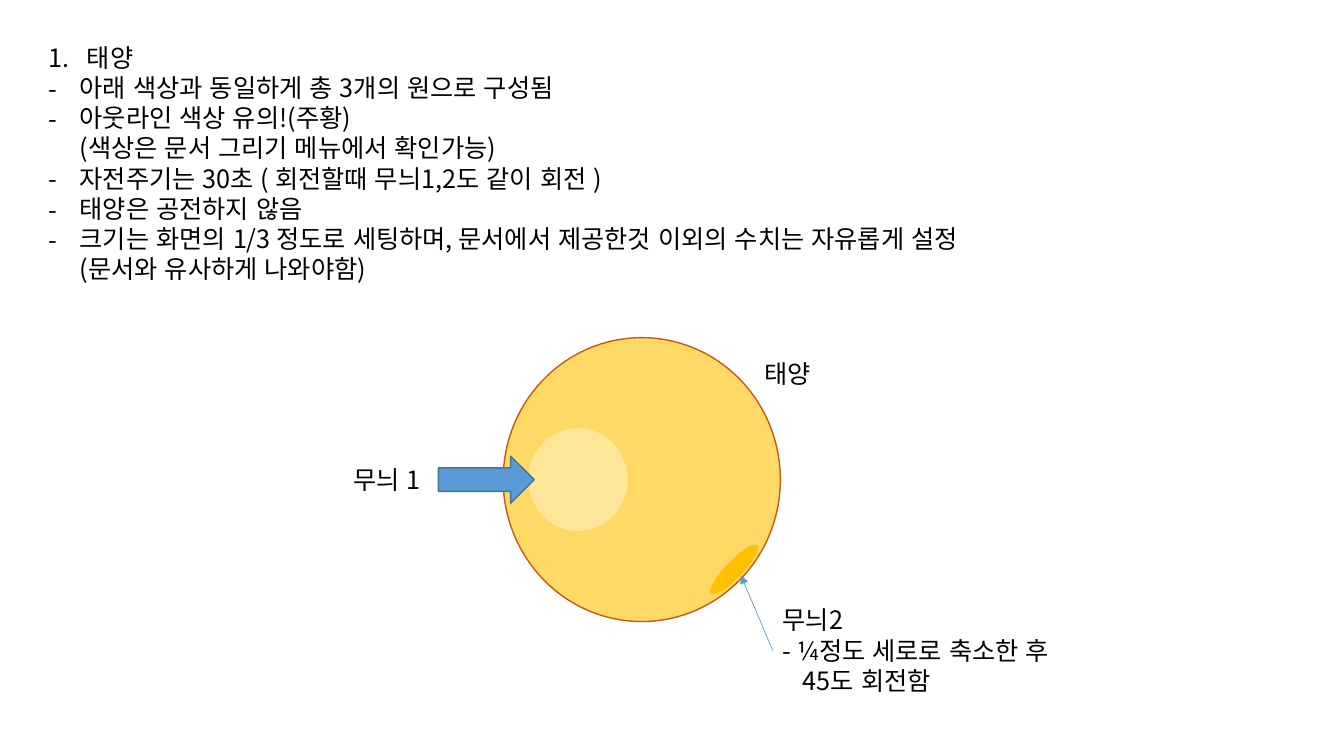
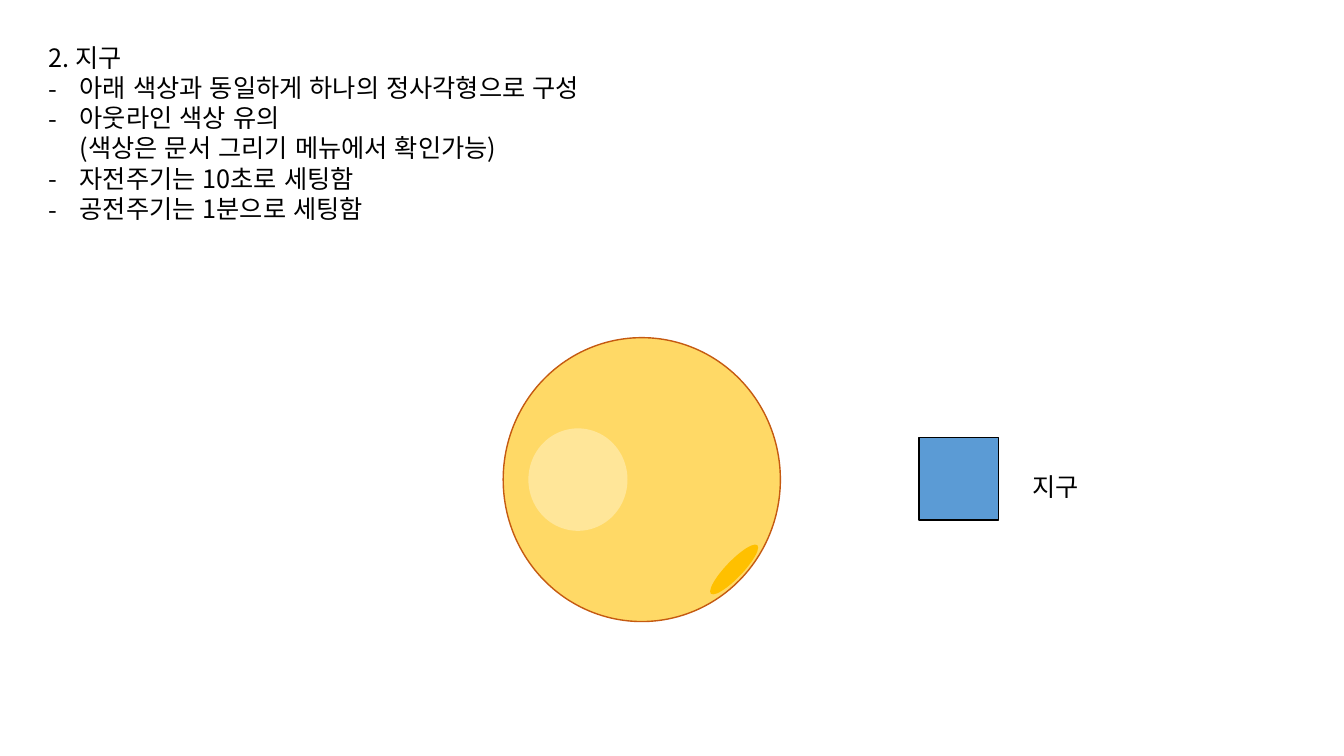
from dataclasses import dataclass

from lxml import etree
from pptx import Presentation
from pptx.dml.color import RGBColor
from pptx.enum import lang, shapes, text
from pptx.oxml import ns
from pptx.util import Inches, Pt


@dataclass(frozen=True)
class Theme:
    """Colours, type and line sizes shared by all slides."""
    font: str = "Noto Sans CJK KR"
    size: float = 18
    ink: str = "000000"
    sun: str = "FFD966"
    sun_edge: str = "C55A11"
    pale_spot: str = "FFE699"
    dark_spot: str = "FFC000"
    blue: str = "5B9BD5"
    blue_edge: str = "43739E"
    outline: float = 1
    thin: float = 0.5


COLUMNS, ROWS = 160, 90
DASH, NUMBER = "dash", "number"
INDENTS = {DASH: 0.31, NUMBER: 0.38}


def child(parent, tag, **attributes):
    return etree.SubElement(parent, ns.qn(tag), attributes)


class Sketch:
    """Draws on the current slide; lengths are grid columns and rows."""

    def __init__(self, theme):
        self.theme = theme
        self.deck = Presentation()
        self.deck.slide_width = Inches(13.33)
        self.deck.slide_height = Inches(7.5)
        self.page = None

    def new_page(self):
        self.page = self.deck.slides.add_slide(self.deck.slide_layouts[6])

    def across(self, columns):
        return round(self.deck.slide_width * columns / COLUMNS)

    def down(self, rows):
        return round(self.deck.slide_height * rows / ROWS)

    def frame(self, left, top, width, height):
        return (self.across(left), self.down(top),
                self.across(width), self.down(height))

    def shape(self, kind, area, fill, edge=None, turn=0):
        item = self.page.shapes.add_shape(kind, *self.frame(*area))
        item.shadow.inherit = False
        item.rotation = turn
        item.fill.solid()
        item.fill.fore_color.rgb = RGBColor.from_string(fill)
        if edge:
            item.line.color.rgb = RGBColor.from_string(edge)
            item.line.width = Pt(self.theme.outline)
        else:
            item.line.fill.background()
        return item

    def span(self, para, words):
        span = para.add_run()
        span.text = words
        span.font.language_id = lang.MSO_LANGUAGE_ID.KOREAN
        span.font.size = Pt(self.theme.size)
        span.font.color.rgb = RGBColor.from_string(self.theme.ink)
        span.font.name = self.theme.font
        child(span.font._element, "a:ea", typeface=self.theme.font)

    def indent(self, para, left, mark=None):
        settings = para._p.get_or_add_pPr()
        settings.set("marL", str(Inches(left)))
        if mark:
            settings.set("indent", str(-Inches(left)))
            child(settings, "a:buFont", typeface=self.theme.font)
        if mark == DASH:
            child(settings, "a:buChar", char="-")
        elif mark == NUMBER:
            child(settings, "a:buAutoNum", type="arabicPeriod")

    def text(self, area, *entries):
        """Each entry is a pair: its mark or left indent, and its lines."""
        box = self.page.shapes.add_textbox(*self.frame(*area))
        body = box.text_frame
        body.word_wrap = False
        body.auto_size = text.MSO_AUTO_SIZE.SHAPE_TO_FIT_TEXT
        for index, (mark, words) in enumerate(entries):
            para = body.add_paragraph() if index else body.paragraphs[0]
            if mark in INDENTS:
                self.indent(para, INDENTS[mark], mark)
            elif mark:
                self.indent(para, mark)
            for number, line in enumerate(words.split("\n")):
                if number:
                    para.add_line_break()
                self.span(para, line)
        return box

    def pointer(self, box, side, column, row):
        """Thin arrow from the middle of a box's side to a grid point."""
        end = self.across(column), self.down(row)
        arrow = self.page.shapes.add_connector(
            shapes.MSO_CONNECTOR.STRAIGHT, *end, *end)
        arrow.begin_connect(box, side)
        arrow.line.color.rgb = RGBColor.from_string(self.theme.blue)
        arrow.line.width = Pt(self.theme.thin)
        child(arrow.line._get_or_add_ln(), "a:tailEnd", type="triangle")
        child(arrow._element.spPr, "a:effectLst")

    def sun(self):
        oval = shapes.MSO_SHAPE.OVAL
        self.shape(oval, (59.9, 40.2, 33, 33.8),
                   self.theme.sun, self.theme.sun_edge)
        self.shape(oval, (62.9, 51, 11.8, 12.2), self.theme.pale_spot)
        self.shape(oval, (83.4, 66.8, 8, 2), self.theme.dark_spot, turn=313.8)


def sun_page(sketch):
    sketch.new_page()
    sketch.sun()

    # Requirements
    sketch.text(
        (4.6, 4.4, 121.1, 30.2),
        (NUMBER, "태양"),
        (DASH, "아래 색상과 동일하게 총 3개의 원으로 구성됨"),
        (DASH, "아웃라인 색상 유의!(주황)\n(색상은 문서 그리기 메뉴에서 확인가능)"),
        (DASH, "자전주기는 30초 ( 회전할때 무늬1,2도 같이 회전 )"),
        (DASH, "태양은 공전하지 않음"),
        (DASH, "크기는 화면의 1/3 정도로 세팅하며, 문서에서 제공한것 이외의 "
               "수치는 자유롭게 설정\n(문서와 유사하게 나와야함)"))

    # Labels and arrows
    note = sketch.text(
        (92, 71.4, 39.1, 12.1),
        (None, "무늬2"),
        (None, "- ¼정도 세로로 축소한 후"),
        (0.2, "45도 회전함"))
    sketch.pointer(note, 1, 88.2, 68.5)
    sketch.text((89.8, 42.1, 8.5, 4.8), (None, "태양"))
    sketch.shape(shapes.MSO_SHAPE.RIGHT_ARROW, (52.2, 54.3, 11.4, 5.6),
                 sketch.theme.blue, sketch.theme.blue_edge)
    sketch.text((40.9, 54.7, 11.2, 4.8), (None, "무늬 1"))


def earth_page(sketch):
    sketch.new_page()
    sketch.sun()

    # Requirements
    sketch.text(
        (4.6, 4.4, 72.1, 23),
        (None, "2. 지구"),
        (DASH, "아래 색상과 동일하게 하나의 정사각형으로 구성"),
        (DASH, "아웃라인 색상 유의\n(색상은 문서 그리기 메뉴에서 확인가능)"),
        (DASH, "자전주기는 10초로 세팅함"),
        (DASH, "공전주기는 1분으로 세팅함"))

    # Earth and its label
    sketch.shape(shapes.MSO_SHAPE.RECTANGLE, (109.4, 52.1, 9.5, 9.8),
                 sketch.theme.blue, sketch.theme.ink)
    sketch.text((121.7, 55.5, 8.5, 4.8), (None, "지구"))


def main():
    sketch = Sketch(Theme())
    sun_page(sketch)
    earth_page(sketch)
    sketch.deck.save("out.pptx")


if __name__ == "__main__":
    main()
